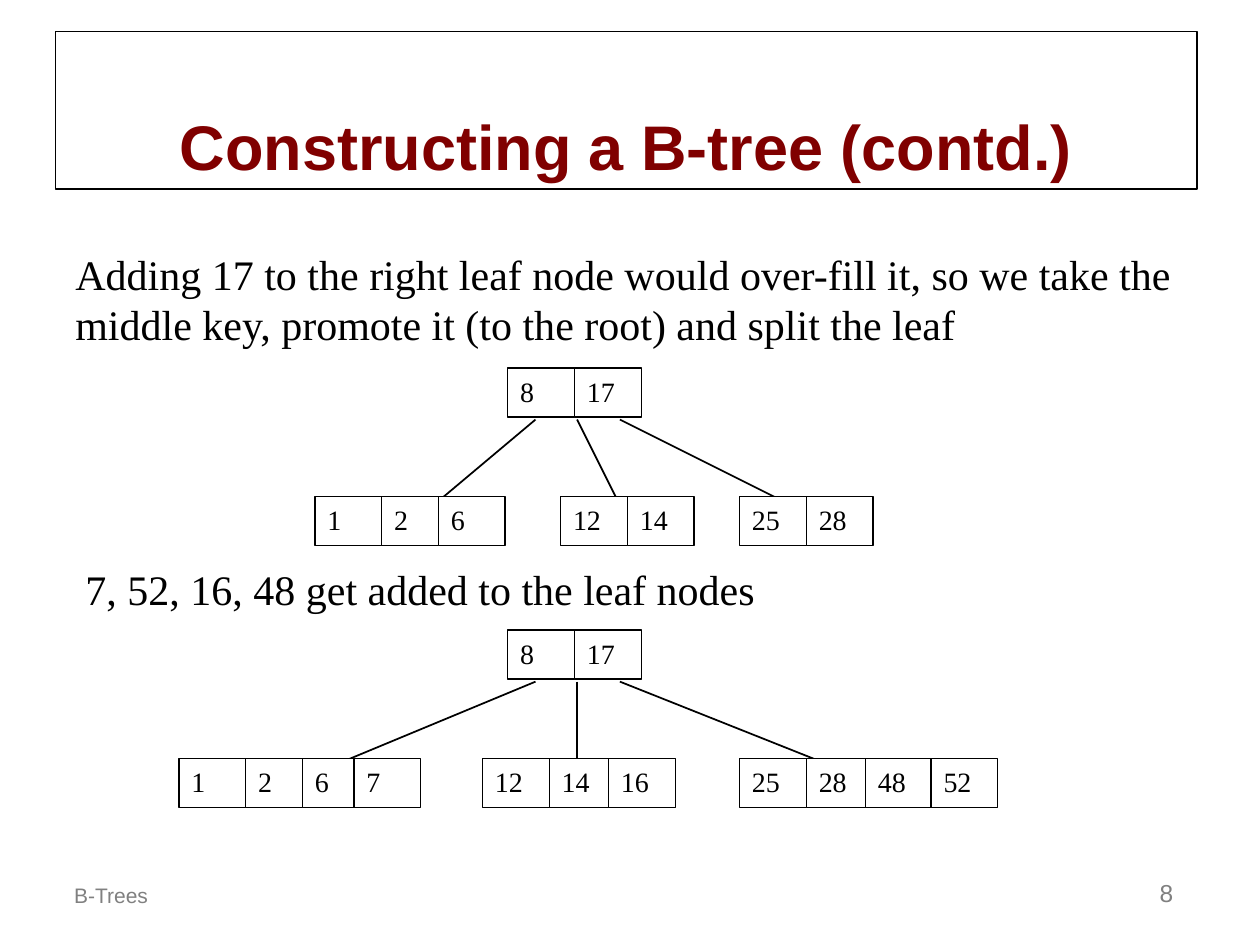
from dataclasses import dataclass

from lxml import etree
from pptx import Presentation
from pptx.dml.color import RGBColor
from pptx.enum.shapes import MSO_CONNECTOR as Connector, MSO_SHAPE as Shape
from pptx.enum.text import MSO_ANCHOR as Anchor, MSO_AUTO_SIZE as AutoSize, PP_ALIGN as Align
from pptx.oxml.ns import qn
from pptx.util import Inches, Pt


@dataclass(frozen=True)
class Theme:
    ink: RGBColor = RGBColor(0, 0, 0)
    paper: RGBColor = RGBColor(255, 255, 255)
    maroon: RGBColor = RGBColor(128, 0, 0)
    gray: RGBColor = RGBColor(128, 128, 128)
    serif: str = "Times New Roman"
    sans: str = "Arial"
    title_size: int = 36
    body_size: int = 24
    page_number_size: int = 14
    footer_size: int = 12
    key_size: int = 16
    border: float = 0.75
    edge: float = 1


THEME = Theme()
CELL_WIDTH, CELL_HEIGHT = 0.53, 0.39
LEAF_DROP = 1.02
EDGE_DROP = 0.41
EDGE_STARTS = (0.22, 0.55, 0.89)
ROOT_KEYS = {"8": 0, "17": 0.53}


def write(box, text, size=THEME.body_size, font=THEME.serif, color=THEME.ink,
          bold=False, align=Align.LEFT, anchor=Anchor.TOP, grow=False):
    frame = box.text_frame
    frame.word_wrap = True
    frame.vertical_anchor = anchor
    frame.auto_size = AutoSize.SHAPE_TO_FIT_TEXT if grow else AutoSize.NONE
    para = frame.paragraphs[0]
    para.alignment = align
    span = para.add_run()
    span.text = text
    span.font.size = Pt(size)
    span.font.name = font
    span.font.bold = bold
    span.font.color.rgb = color


def add_text(page, left, top, width, height, text, **style):
    box = page.shapes.add_textbox(*map(Inches, (left, top, width, height)))
    write(box, text, **style)
    return box


def add_title(page, left, top, width, height, text):
    box = add_text(page, left, top, width, height, text, size=THEME.title_size,
                   font=THEME.sans, color=THEME.maroon, bold=True,
                   align=Align.CENTER, anchor=Anchor.BOTTOM)
    box.line.color.rgb = THEME.ink
    box.line.width = Pt(THEME.border)


def add_node(page, left, top, keys):
    for key, offset in keys.items():
        cell = page.shapes.add_shape(
            Shape.RECTANGLE, *map(Inches, (left + offset, top, CELL_WIDTH, CELL_HEIGHT)))
        cell.shadow.inherit = False
        cell.fill.solid()
        cell.fill.fore_color.rgb = THEME.paper
        cell.line.color.rgb = THEME.ink
        cell.line.width = Pt(THEME.border)
        write(cell, key, size=THEME.key_size)


def add_edge(page, *ends):
    edge = page.shapes.add_connector(Connector.STRAIGHT, *map(Inches, ends))
    edge.line.color.rgb = THEME.ink
    edge.line.width = Pt(THEME.edge)
    etree.SubElement(edge._element.spPr, qn("a:effectLst"))


def add_tree(page, left, top, leaves, edge_ends):
    for start, (end_x, end_y) in zip(EDGE_STARTS, edge_ends):
        add_edge(page, left + start, top + EDGE_DROP, left + end_x, top + end_y)
    add_node(page, left, top, ROOT_KEYS)
    for offset, keys in leaves:
        add_node(page, left + offset, top + LEAF_DROP, keys)


def add_footer(page, left, top, width, height, label, number):
    style = dict(font=THEME.sans, color=THEME.gray, anchor=Anchor.BOTTOM)
    number_width = 2.08
    add_text(page, left, top, 3, height, label, size=THEME.footer_size, **style)
    add_text(page, left + width - number_width, top, number_width, height, number,
             size=THEME.page_number_size, align=Align.RIGHT, **style)


def main():
    deck = Presentation()
    deck.slide_width, deck.slide_height = Inches(10), Inches(7.5)
    page = deck.slides.add_slide(deck.slide_layouts[6])

    add_title(page, 0.44, 0.25, 9.06, 1.25, "Constructing a B-tree (contd.)")
    add_text(page, 0.5, 1.92, 9.17, 0.9,
             "Adding 17 to the right leaf node would over-fill it, so we take the "
             "middle key, promote it (to the root) and split the leaf", grow=True)
    add_tree(page, 4.03, 2.92,
             leaves=[(-1.53, {"1": 0, "2": 0.53, "6": 0.98}),
                     (0.42, {"12": 0, "14": 0.53}),
                     (1.84, {"25": 0, "28": 0.53})],
             edge_ends=[(-0.78, 1.25), (0.97, 1.25), (2.39, 1.16)])
    add_text(page, 0.58, 4.42, 9, 0.5, "7, 52, 16, 48 get added to the leaf nodes", grow=True)
    add_tree(page, 4.03, 5,
             leaves=[(-2.61, {"1": 0, "2": 0.53, "6": 0.98, "7": 1.39}),
                     (-0.2, {"12": 0, "14": 0.53, "16": 1}),
                     (1.84, {"25": 0, "28": 0.53, "48": 1, "52": 1.52})],
             edge_ends=[(-1.61, 1.17), (0.55, 1.25), (2.8, 1.17)])
    add_footer(page, 0.49, 6.75, 8.92, 0.5, "B-Trees", "8")

    deck.save("out.pptx")


if __name__ == "__main__":
    main()
